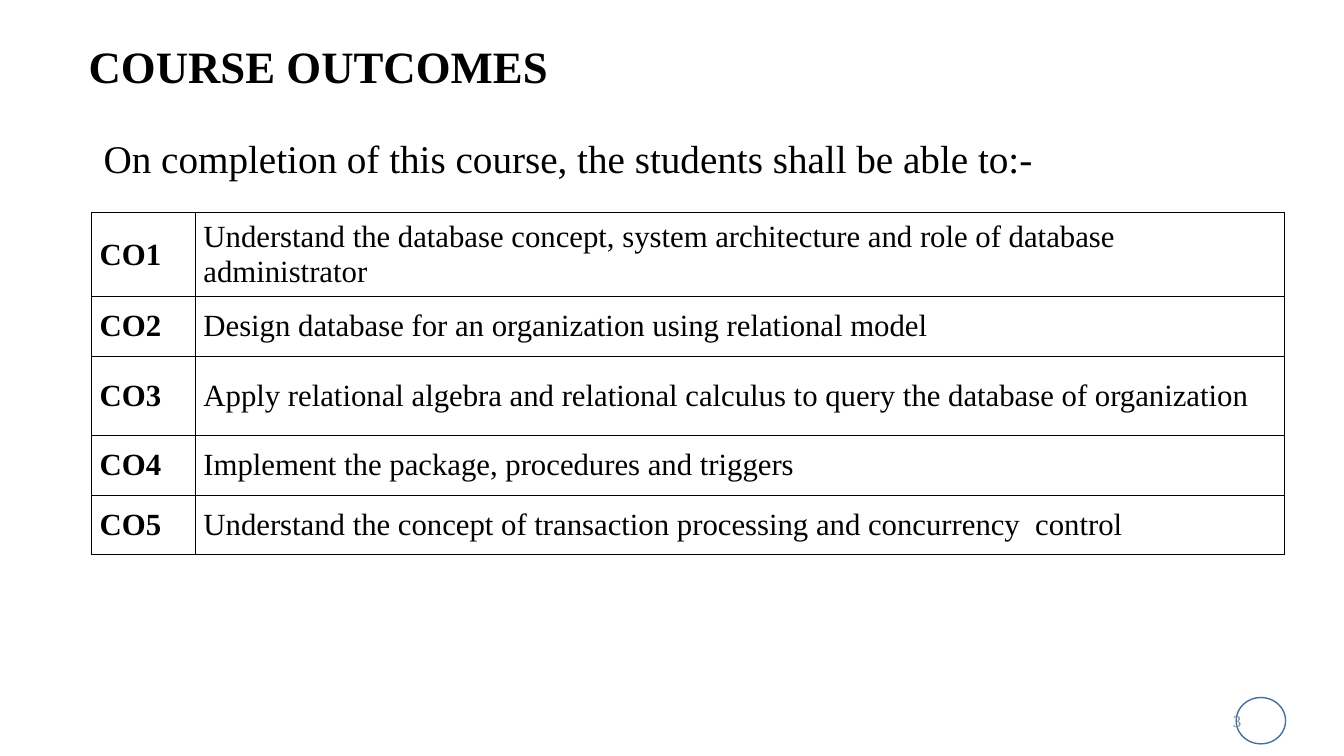
from dataclasses import dataclass

import lxml.etree
import pptx
import pptx.dml.color
import pptx.enum.shapes
import pptx.enum.text
import pptx.oxml.ns
import pptx.util

Inches = pptx.util.Inches
Pt = pptx.util.Pt
ALIGN = pptx.enum.text.PP_ALIGN
ANCHOR = pptx.enum.text.MSO_ANCHOR


@dataclass(frozen=True)
class Theme:
    font: str = "Times New Roman"
    ink: str = "000000"
    number_ink: str = "898989"
    ring: str = "41719C"
    title_size: int = 32
    intro_size: int = 28
    table_size: int = 22
    number_size: int = 12
    ring_width: float = 1
    border_width: float = 0.45


class SlideBuilder:
    def __init__(self, slide, theme):
        self.slide = slide
        self.theme = theme

    def set_text(self, frame, text, size, color=None, bold=False, align=ALIGN.LEFT):
        frame.text = text
        paragraph = frame.paragraphs[0]
        paragraph.alignment = align
        font = paragraph.font
        font.name = self.theme.font
        font.size = Pt(size)
        font.bold = bold
        font.color.rgb = pptx.dml.color.RGBColor.from_string(color or self.theme.ink)
        return paragraph

    def title(self, text, left, top, width, height):
        heading = self.slide.shapes.title
        heading.left, heading.top = Inches(left), Inches(top)
        heading.width, heading.height = Inches(width), Inches(height)
        frame = heading.text_frame
        frame.auto_size = pptx.enum.text.MSO_AUTO_SIZE.NONE
        frame.vertical_anchor = ANCHOR.BOTTOM
        self.set_text(frame, text, self.theme.title_size, bold=True).line_spacing = 0.9

    def text(self, text, left, top, width, height, size, color=None,
             align=ALIGN.LEFT, anchor=ANCHOR.TOP, wrap=True):
        box = self.slide.shapes.add_textbox(
            Inches(left), Inches(top), Inches(width), Inches(height))
        box.text_frame.word_wrap = wrap
        box.text_frame.vertical_anchor = anchor
        self.set_text(box.text_frame, text, size, color, align=align)

    def ring(self, left, top, width, height):
        ring = self.slide.shapes.add_shape(
            pptx.enum.shapes.MSO_SHAPE.OVAL,
            Inches(left), Inches(top), Inches(width), Inches(height))
        ring.shadow.inherit = False
        ring.fill.background()
        ring.line.color.rgb = pptx.dml.color.RGBColor.from_string(self.theme.ring)
        ring.line.width = Pt(self.theme.ring_width)

    def border(self, cell):
        properties = cell._tc.get_or_add_tcPr()
        qn = pptx.oxml.ns.qn
        for position, side in enumerate(("a:lnL", "a:lnR", "a:lnT", "a:lnB")):
            edge = lxml.etree.Element(qn(side), w=str(Pt(self.theme.border_width)))
            fill = lxml.etree.SubElement(edge, qn("a:solidFill"))
            lxml.etree.SubElement(fill, qn("a:srgbClr"), val=self.theme.ink)
            properties.insert(position, edge)

    def table(self, rows, left, top, widths, heights):
        table = self.slide.shapes.add_table(
            len(rows), len(widths), Inches(left), Inches(top),
            Inches(sum(widths)), Inches(sum(heights))).table
        table.first_row = False
        table.horz_banding = False
        for column, width in zip(table.columns, widths):
            column.width = Inches(width)
        for row, height, texts in zip(table.rows, heights, rows):
            row.height = Inches(height)
            for index, (cell, text) in enumerate(zip(row.cells, texts)):
                cell.fill.background()
                cell.vertical_anchor = ANCHOR.MIDDLE
                cell.margin_left = cell.margin_right = Inches(0.08)
                self.set_text(cell.text_frame, text, self.theme.table_size, bold=index == 0)
                self.border(cell)


OUTCOMES = [
    "Understand the database concept, system architecture and role of database administrator",
    "Design database for an organization using relational model",
    "Apply relational algebra and relational calculus to query the database of organization",
    "Implement the package, procedures and triggers",
    "Understand the concept of transaction processing and concurrency  control",
]


def main():
    presentation = pptx.Presentation()
    presentation.slide_width = Inches(13.34)
    presentation.slide_height = Inches(7.5)
    theme = Theme()
    title_only = presentation.slide_layouts[5]
    builder = SlideBuilder(presentation.slides.add_slide(title_only), theme)

    builder.title("COURSE OUTCOMES", 0.78, 0.38, 12.17, 0.59)
    builder.ring(12.27, 6.92, 0.49, 0.46)
    builder.text("3", 9.42, 6.95, 3, 0.4, theme.number_size, theme.number_ink,
                 align=ALIGN.RIGHT, anchor=ANCHOR.MIDDLE)
    builder.text("On completion of this course, the students shall be able to:-",
                 0.93, 1.28, 9.42, 0.57, theme.intro_size, wrap=False)
    outcome_rows = [(f"CO{number}", outcome)
                    for number, outcome in enumerate(OUTCOMES, start=1)]
    builder.table(outcome_rows, 0.91, 2.11, widths=(1.03, 10.81),
                  heights=(0.83, 0.59, 0.79, 0.59, 0.59))

    presentation.save("out.pptx")


if __name__ == "__main__":
    main()
